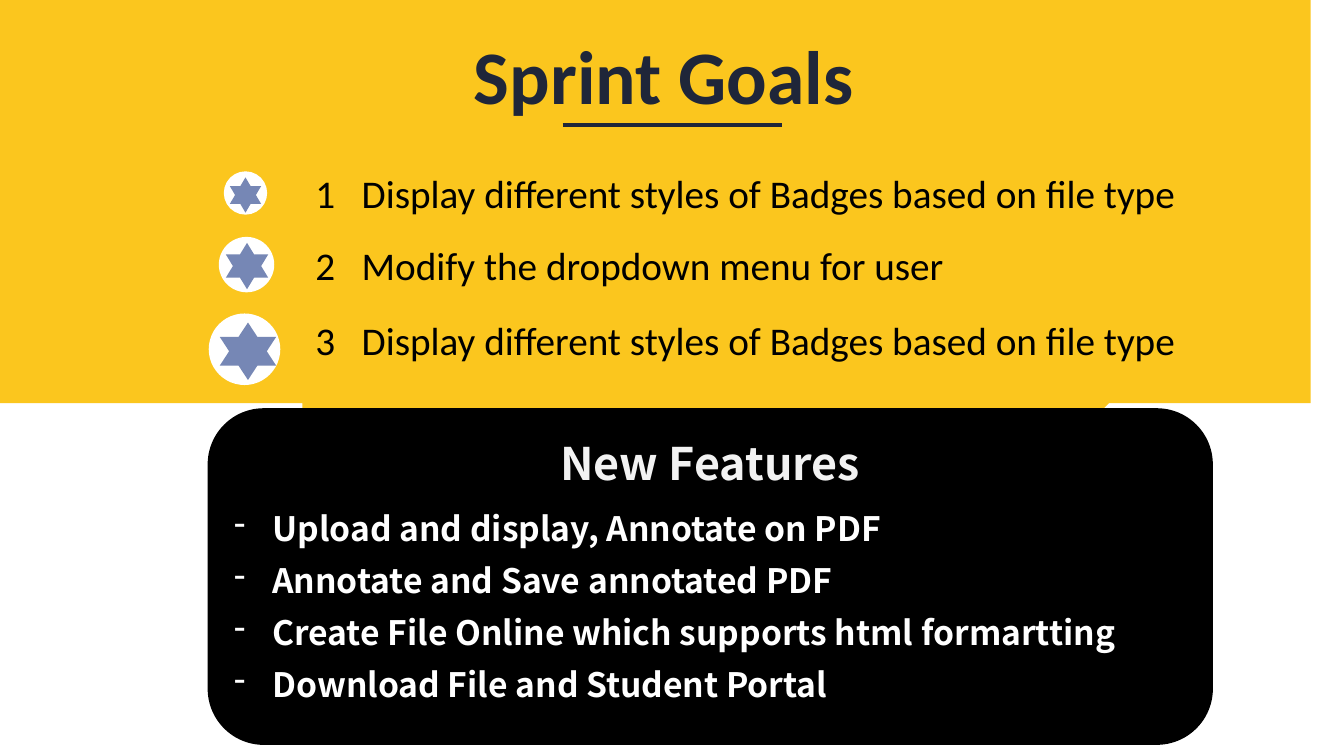
from lxml import etree
from pptx import Presentation
from pptx.dml.color import RGBColor
from pptx.enum.shapes import MSO_CONNECTOR, MSO_SHAPE
from pptx.enum.text import MSO_ANCHOR, PP_ALIGN
from pptx.oxml.ns import qn
from pptx.util import Inches, Pt

STRAIGHT = MSO_CONNECTOR.STRAIGHT
ROUNDED, OVAL, STAR = MSO_SHAPE.ROUNDED_RECTANGLE, MSO_SHAPE.OVAL, MSO_SHAPE.STAR_6_POINT
LEFT, CENTER = PP_ALIGN.LEFT, PP_ALIGN.CENTER
MIDDLE = MSO_ANCHOR.MIDDLE

YELLOW = RGBColor(0xFB, 0xC6, 0x1E)
NAVY = RGBColor(0x1F, 0x26, 0x39)
BLUE = RGBColor(0x76, 0x87, 0xB5)
BLACK = RGBColor(0x00, 0x00, 0x00)
WHITE = RGBColor(0xFF, 0xFF, 0xFF)
PALE = RGBColor(0xF2, 0xF2, 0xF2)

CALIBRI = "Calibri"
NOTO = "Noto Sans CJK SC"

GOALS = [
    ("Display different styles of Badges based on file type", 1.63, 8.83),
    ("Modify the dropdown menu for user", 2.34, 6.6),
    ("Display different styles of Badges based on file type", 3.09, 8.83),
]
BADGES = [
    ((2.22, 1.7, 0.43, 0.43), (2.28, 1.76, 0.31, 0.35)),
    ((2.17, 2.35, 0.55, 0.55), (2.24, 2.41, 0.42, 0.46)),
    ((2.07, 3.11, 0.71, 0.71), (2.18, 3.2, 0.56, 0.57)),
]
FEATURES = [
    "Upload and display, Annotate on PDF",
    "Annotate and Save annotated PDF",
    "Create File Online which supports html formartting",
    "Download File and Student Portal",
]


def bezier(start, first, second, end, steps=40):
    for step in range(1, steps + 1):
        t = step / steps
        u = 1 - t
        yield tuple(
            u**3 * a + 3 * u * u * t * b + 3 * u * t * t * c + t**3 * d
            for a, b, c, d in zip(start, first, second, end)
        )


class SlideBuilder:
    def __init__(self, slide):
        self.slide = slide
        self.shapes = slide.shapes

    def paint(self, shape, color):
        shape.shadow.inherit = False
        shape.fill.solid()
        shape.fill.fore_color.rgb = color
        shape.line.fill.background()
        return shape

    def outline(self, points, color):
        builder = self.shapes.build_freeform(*points[0], scale=Inches(1))
        builder.add_line_segments(points[1:], close=True)
        return self.paint(builder.convert_to_shape(), color)

    def preset(self, kind, box, color):
        return self.paint(self.shapes.add_shape(kind, *map(Inches, box)), color)

    def line(self, left, right, top, color, width):
        connector = self.shapes.add_connector(
            STRAIGHT, Inches(left), Inches(top), Inches(right), Inches(top))
        connector.line.color.rgb = color
        connector.line.width = Pt(width)
        etree.SubElement(connector._element.spPr, qn("a:effectLst"))

    def textbox(self, box, wrap):
        frame = self.shapes.add_textbox(*map(Inches, box)).text_frame
        frame.word_wrap = wrap
        return frame

    def add_text(self, paragraph, text, size, font, color, bold=False, align=LEFT):
        paragraph.alignment = align
        run = paragraph.add_run()
        run.text = text
        run.font.size = Pt(size)
        run.font.name = font
        run.font.bold = bold
        run.font.color.rgb = color

    def hang(self, paragraph, indent, bullet=None):
        properties = paragraph._p.get_or_add_pPr()
        properties.set("marL", str(Inches(indent)))
        properties.set("indent", str(-Inches(indent)))
        if bullet:
            etree.SubElement(properties, qn("a:buChar")).set("char", bullet)

    def features(self, box, heading, items):
        frame = self.preset(ROUNDED, box, BLACK).text_frame
        frame.word_wrap = True
        frame.vertical_anchor = MIDDLE
        frame.margin_bottom = Inches(0.23)
        paragraph = frame.paragraphs[0]
        paragraph.line_spacing = 1.08
        self.add_text(paragraph, heading, 32, NOTO, PALE, True, CENTER)
        for index, item in enumerate(items):
            paragraph = frame.add_paragraph()
            paragraph.line_spacing = 1.08
            paragraph.space_before = Pt(6 if index else 11)
            self.add_text(paragraph, item, 24, NOTO, WHITE, True)
            self.hang(paragraph, 0.38, "-")

    def goal(self, number, text, top, width):
        paragraph = self.textbox((3.03, top, width, 0.57), False).paragraphs[0]
        self.add_text(paragraph, f"{number}\t{text}", 28, CALIBRI, BLACK)
        self.hang(paragraph, 0.46)

    def badge(self, disc, star):
        self.preset(OVAL, disc, WHITE)
        self.preset(STAR, star, BLUE)


def main():
    presentation = Presentation()
    presentation.slide_width = Inches(13.33)
    presentation.slide_height = Inches(7.5)
    builder = SlideBuilder(presentation.slides.add_slide(presentation.slide_layouts[6]))

    right, bottom, left = (13.22, 3.52), (6.67, 4.94), (0.11, 3.52)
    builder.outline([
        (0, 0), (13.33, 0), (13.33, 3.46), right,
        *bezier(right, (11.49, 4.4), (9.19, 4.94), bottom),
        *bezier(bottom, (4.14, 4.94), (1.84, 4.4), left),
        (0, 3.46),
    ], YELLOW)
    builder.line(5.58, 7.76, 1.24, NAVY, 3)
    builder.features((2.06, 4.05, 9.97, 3.34), "New Features", FEATURES)

    title = builder.textbox((4.22, 0.34, 4.73, 0.92), True).paragraphs[0]
    title.line_spacing = 0.9
    builder.add_text(title, "Sprint Goals", 54, CALIBRI, NAVY, True, CENTER)

    for number, goal in enumerate(GOALS, 1):
        builder.goal(number, *goal)
    for disc, star in BADGES:
        builder.badge(disc, star)

    presentation.save("out.pptx")


if __name__ == "__main__":
    main()
